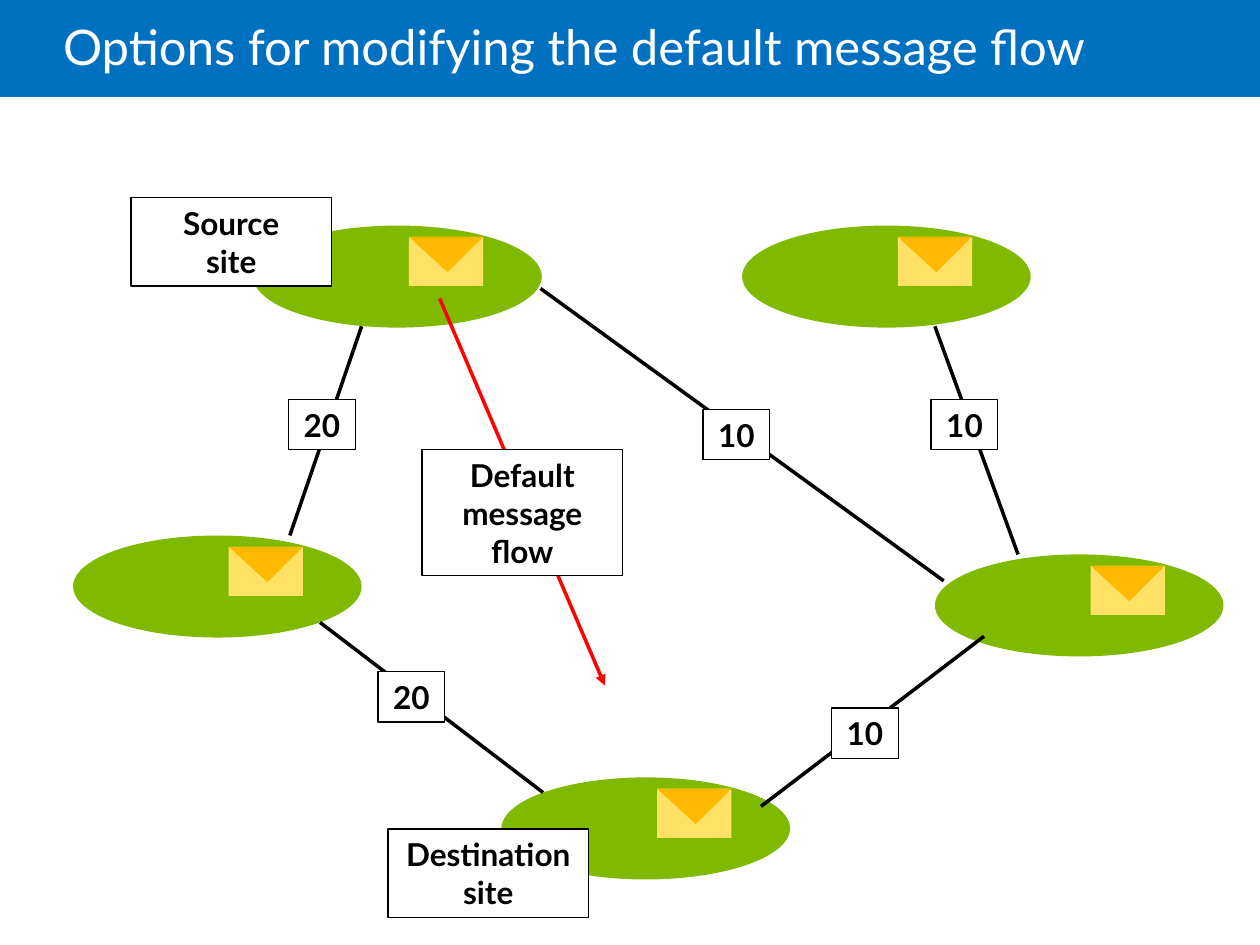
from lxml.etree import SubElement
from pptx import Presentation
from pptx.dml.color import RGBColor
from pptx.enum.shapes import MSO_CONNECTOR as Connector, MSO_SHAPE as Shape
from pptx.enum.text import MSO_ANCHOR as Anchor, MSO_AUTO_SIZE as AutoSize, PP_ALIGN as Align
from pptx.oxml.ns import qn
from pptx.util import Inches, Pt

BLUE = RGBColor(0x00, 0x70, 0xC0)
GREEN = RGBColor(0x7F, 0xBA, 0x00)
PALE_YELLOW = RGBColor(0xFF, 0xE2, 0x65)
AMBER = RGBColor(0xFF, 0xB9, 0x00)
RED = RGBColor(0xFF, 0x00, 0x00)
BLACK = RGBColor(0x00, 0x00, 0x00)
WHITE = RGBColor(0xFF, 0xFF, 0xFF)
FONT = "Lato"

TITLE = "Options for modifying the default message flow"
SITES = [(7.42, 4.4), (3.98, 6.17), (0.58, 4.25), (5.89, 1.79), (2.01, 1.79)]
DEFAULT_FLOW = ((3.49, 2.37), (4.8, 5.44))
SITE_LINKS = [
    ((2.87, 2.59), (2.3, 4.25)),
    ((4.29, 2.29), (7.49, 4.61)),
    ((7.42, 2.59), (8.08, 4.4)),
    ((6.04, 6.4), (7.81, 5.05)),
    ((2.54, 4.94), (4.31, 6.29)),
]
LINK_COSTS = [
    ("10", 7.39, 3.17),
    ("10", 5.58, 3.25),
    ("10", 6.6, 5.62),
    ("20", 3, 5.33),
    ("20", 2.29, 3.17),
]
CALLOUTS = [
    ("Source\nsite", 1.04, 1.57, 2),
    ("Destination\nsite", 3.08, 6.58, 2),
    ("Default message flow", 3.35, 3.57, 3),
]

SLIDE_SIZE = (10, 7.5)
BAR_HEIGHT = 0.77
SITE_SIZE = (2.29, 0.81)
ENVELOPE_OFFSET = (1.235, 0.09)
ENVELOPE_SIZE = (0.59, 0.39)
FLAP_HEIGHT = 0.28
COST_WIDTH, CALLOUT_WIDTH = 0.53, 1.59
LINE_HEIGHT, BOX_PADDING = 0.3, 0.1


def apply_format(target, values):
    for attribute, value in values.items():
        setattr(target, attribute, value)


def add_block(shapes, kind, left, top, width, height, fill):
    block = shapes.add_shape(kind, *map(Inches, (left, top, width, height)))
    block.shadow.inherit = False
    block.fill.solid()
    block.fill.fore_color.rgb = fill
    block.line.fill.background()
    return block


def add_site(shapes, left, top):
    site = shapes.add_group_shape().shapes
    add_block(site, Shape.OVAL, left, top, *SITE_SIZE, GREEN)
    mail_left, mail_top = left + ENVELOPE_OFFSET[0], top + ENVELOPE_OFFSET[1]
    add_block(site, Shape.RECTANGLE, mail_left, mail_top, *ENVELOPE_SIZE, PALE_YELLOW)
    flap = add_block(site, Shape.ISOSCELES_TRIANGLE, mail_left, mail_top,
                     ENVELOPE_SIZE[0], FLAP_HEIGHT, AMBER)
    flap.rotation = 180
    flap.adjustments[0] = 0.48


def add_link(shapes, start, end, color, arrow=False):
    link = shapes.add_connector(Connector.STRAIGHT, *map(Inches, start + end))
    link.line.color.rgb = color
    link.line.width = Pt(2)
    if arrow:
        SubElement(link.line._get_or_add_ln(), qn("a:tailEnd"), type="triangle")
    SubElement(link.element.spPr, qn("a:effectLst"))


def add_label(shapes, text, left, top, width, lines=1):
    height = lines * LINE_HEIGHT + BOX_PADDING
    label = add_block(shapes, Shape.RECTANGLE, left, top, width, height, WHITE)
    label.line.color.rgb = BLACK
    label.line.width = Pt(0.75)
    frame = label.text_frame
    apply_format(frame, {"word_wrap": True, "auto_size": AutoSize.SHAPE_TO_FIT_TEXT,
                         "vertical_anchor": Anchor.TOP})
    paragraph = frame.paragraphs[0]
    paragraph.text = text
    paragraph.alignment = Align.CENTER
    for run in paragraph.runs:
        apply_format(run.font, {"name": FONT, "size": Pt(18), "bold": True})
        run.font.color.rgb = BLACK


def add_title(slide):
    title = slide.shapes.title
    apply_format(title, {"left": Inches(0.5), "top": 0,
                         "width": Inches(8.5), "height": Inches(0.81)})
    bar = add_block(slide.shapes, Shape.RECTANGLE, 0, 0, SLIDE_SIZE[0], BAR_HEIGHT, BLUE)
    title.element.addprevious(bar.element)
    title.text_frame.text = TITLE
    apply_format(title.text_frame, {"margin_left": 0, "vertical_anchor": Anchor.MIDDLE,
                                    "word_wrap": True, "auto_size": AutoSize.NONE})
    paragraph = title.text_frame.paragraphs[0]
    apply_format(paragraph, {"alignment": Align.LEFT, "line_spacing": 0.85})
    font = paragraph.runs[0].font
    apply_format(font, {"name": FONT, "size": Pt(28)})
    font.color.rgb = WHITE


def main():
    deck = Presentation()
    deck.slide_width, deck.slide_height = map(Inches, SLIDE_SIZE)
    slide = deck.slides.add_slide(deck.slide_layouts[5])
    add_title(slide)
    for left, top in SITES:
        add_site(slide.shapes, left, top)
    add_link(slide.shapes, *DEFAULT_FLOW, RED, arrow=True)
    for start, end in SITE_LINKS:
        add_link(slide.shapes, start, end, BLACK)
    for cost, left, top in LINK_COSTS:
        add_label(slide.shapes, cost, left, top, COST_WIDTH)
    for text, left, top, lines in CALLOUTS:
        add_label(slide.shapes, text, left, top, CALLOUT_WIDTH, lines)
    deck.save("out.pptx")


if __name__ == "__main__":
    main()
